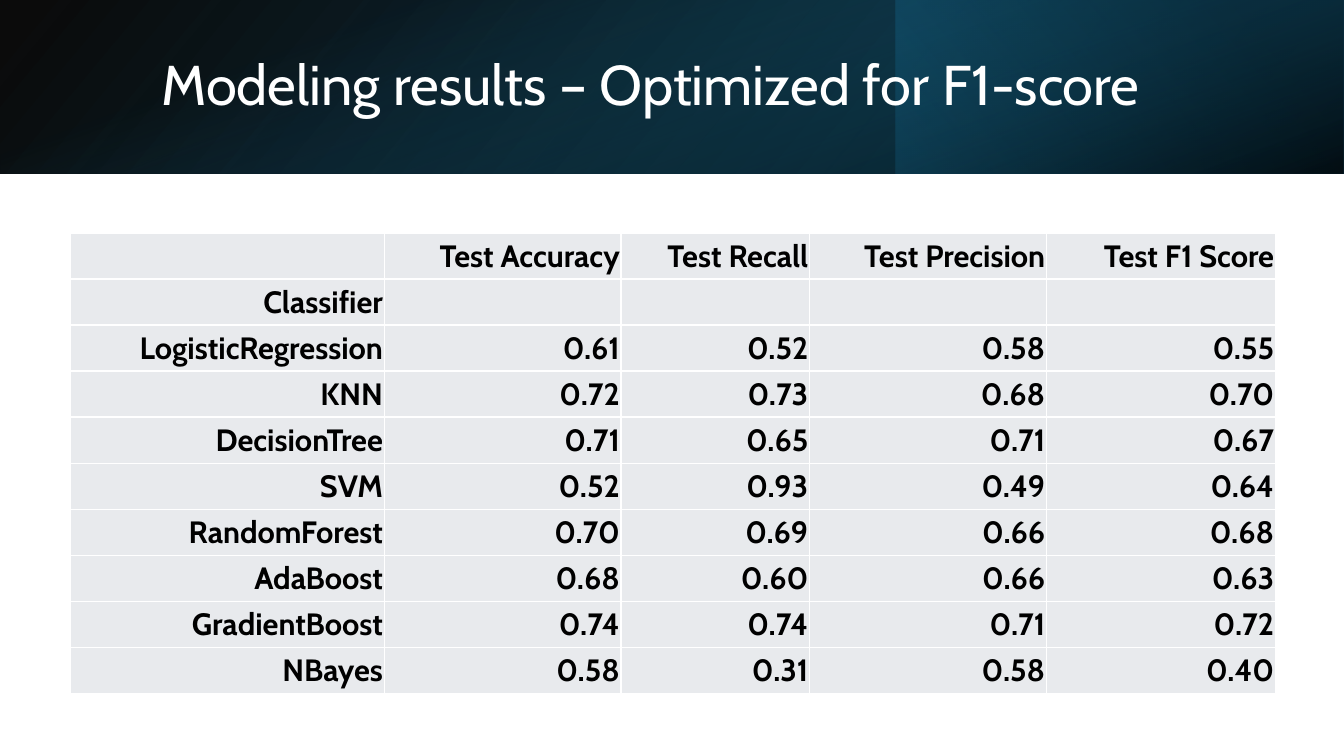
import dataclasses

import pptx
import pptx.dml.color
import pptx.enum.shapes
import pptx.enum.text
import pptx.oxml
import pptx.oxml.ns
import pptx.util

Cm = pptx.util.Cm
Pt = pptx.util.Pt
RGB = pptx.dml.color.RGBColor.from_string
NAMESPACE = pptx.oxml.ns.nsdecls("a")


@dataclasses.dataclass(frozen=True)
class Theme:
    font: str = "Cabin"
    title_size: int = 40
    table_size: int = 22
    white: str = "FFFFFF"
    text: str = "000000"
    cell: str = "E8EAED"
    black: str = "000000"
    navy: str = "104862"
    deep_blue: str = "0B3041"
    teal: str = "156082"


THEME = Theme()
PAGE_WIDTH, PAGE_HEIGHT = 33.87, 19.05
BANNER_HEIGHT = 4.37

RESULTS = [
    ["", "Test Accuracy", "Test Recall", "Test Precision", "Test F1 Score"],
    ["Classifier", "", "", "", ""],
    ["LogisticRegression", "0.61", "0.52", "0.58", "0.55"],
    ["KNN", "0.72", "0.73", "0.68", "0.70"],
    ["DecisionTree", "0.71", "0.65", "0.71", "0.67"],
    ["SVM", "0.52", "0.93", "0.49", "0.64"],
    ["RandomForest", "0.70", "0.69", "0.66", "0.68"],
    ["AdaBoost", "0.68", "0.60", "0.66", "0.63"],
    ["GradientBoost", "0.74", "0.74", "0.71", "0.72"],
    ["NBayes", "0.58", "0.31", "0.58", "0.40"],
]
COLUMN_WIDTHS = [7.9, 5.97, 4.75, 5.97, 5.77]
ROW_HEIGHT = 1.16


def style_text(para, size, color, bold=False):
    para.font.name = THEME.font
    para.font.size = Pt(size)
    para.font.bold = bold
    para.font.color.rgb = RGB(color)


def add_gradient_box(page, left, top, width, height, stops, angle, rotation=0):
    """Stops are (position %, colour, opacity %)."""
    box = page.shapes.add_shape(
        pptx.enum.shapes.MSO_SHAPE.RECTANGLE,
        Cm(left), Cm(top), Cm(width), Cm(height))
    box.rotation = rotation
    box.shadow.inherit = False
    box.line.fill.background()
    box.fill.background()
    stop_xml = "".join(
        f'<a:gs pos="{position * 1000}"><a:srgbClr val="{color}">'
        f'<a:alpha val="{opacity * 1000}"/></a:srgbClr></a:gs>'
        for position, color, opacity in stops)
    gradient = pptx.oxml.parse_xml(
        f'<a:gradFill {NAMESPACE}><a:gsLst>{stop_xml}</a:gsLst>'
        f'<a:lin ang="{angle * 60000}" scaled="0"/></a:gradFill>')
    properties = box._element.spPr
    properties.replace(properties.find(pptx.oxml.ns.qn("a:noFill")), gradient)
    return box


def add_banner(page):
    base = add_gradient_box(
        page, 0, 0, PAGE_WIDTH, BANNER_HEIGHT,
        [(0, THEME.black, 96), (100, THEME.navy, 100)], 140)
    base._element.spPr.xfrm.set("flipH", "1")
    add_gradient_box(
        page, PAGE_WIDTH * 2 / 3, 0, PAGE_WIDTH / 3, BANNER_HEIGHT,
        [(19, THEME.deep_blue, 68), (100, THEME.teal, 79)], 320, 180)
    # Turned a quarter, so its width and height are swapped about the centre
    offset = (PAGE_WIDTH - BANNER_HEIGHT) / 2
    add_gradient_box(
        page, offset, -offset, BANNER_HEIGHT, PAGE_WIDTH,
        [(23, THEME.teal, 0), (99, THEME.black, 74)], 340, 90)


def set_title(page, text):
    title = page.shapes.title
    title.left, title.top = Cm(3.81), Cm(0.97)
    title.width, title.height = Cm(27.89), Cm(2.44)
    frame = title.text_frame
    frame.text = text
    frame.word_wrap = True
    frame.auto_size = pptx.enum.text.MSO_AUTO_SIZE.NONE
    frame.vertical_anchor = pptx.enum.text.MSO_ANCHOR.MIDDLE
    para = frame.paragraphs[0]
    para.alignment = pptx.enum.text.PP_ALIGN.LEFT
    para.line_spacing = 0.9
    style_text(para, THEME.title_size, THEME.white)
    # Bring the title in front of the banner
    page.shapes._spTree.append(title._element)


def add_cell_borders(cell):
    properties = cell._tc.get_or_add_tcPr()
    for index, side in enumerate(("lnL", "lnR", "lnT", "lnB")):
        properties.insert(index, pptx.oxml.parse_xml(
            f'<a:{side} {NAMESPACE} w="{Pt(1)}"><a:solidFill>'
            f'<a:srgbClr val="{THEME.white}"/></a:solidFill></a:{side}>'))


def fill_cell(cell, text):
    cell.fill.solid()
    cell.fill.fore_color.rgb = RGB(THEME.cell)
    cell.margin_left = cell.margin_right = cell.margin_top = Cm(0.03)
    cell.margin_bottom = 0
    cell.vertical_anchor = pptx.enum.text.MSO_ANCHOR.MIDDLE
    cell.text = text
    para = cell.text_frame.paragraphs[0]
    para.alignment = pptx.enum.text.PP_ALIGN.RIGHT
    style_text(para, THEME.table_size, THEME.text, bold=True)
    add_cell_borders(cell)


def add_results_table(page):
    table = page.shapes.add_table(
        len(RESULTS), len(COLUMN_WIDTHS), Cm(1.78), Cm(5.87),
        Cm(sum(COLUMN_WIDTHS)), Cm(ROW_HEIGHT * len(RESULTS))).table
    table.first_row = table.horz_banding = False
    for column, width in zip(table.columns, COLUMN_WIDTHS):
        column.width = Cm(width)
    for row, texts in zip(table.rows, RESULTS):
        row.height = Cm(ROW_HEIGHT)
        for cell, text in zip(row.cells, texts):
            fill_cell(cell, text)


def main():
    deck = pptx.Presentation()
    deck.slide_width, deck.slide_height = Cm(PAGE_WIDTH), Cm(PAGE_HEIGHT)
    page = deck.slides.add_slide(deck.slide_layouts.get_by_name("Title Only"))
    add_banner(page)
    set_title(page, "Modeling results – Optimized for F1-score")
    add_results_table(page)
    deck.save("out.pptx")


if __name__ == "__main__":
    main()
